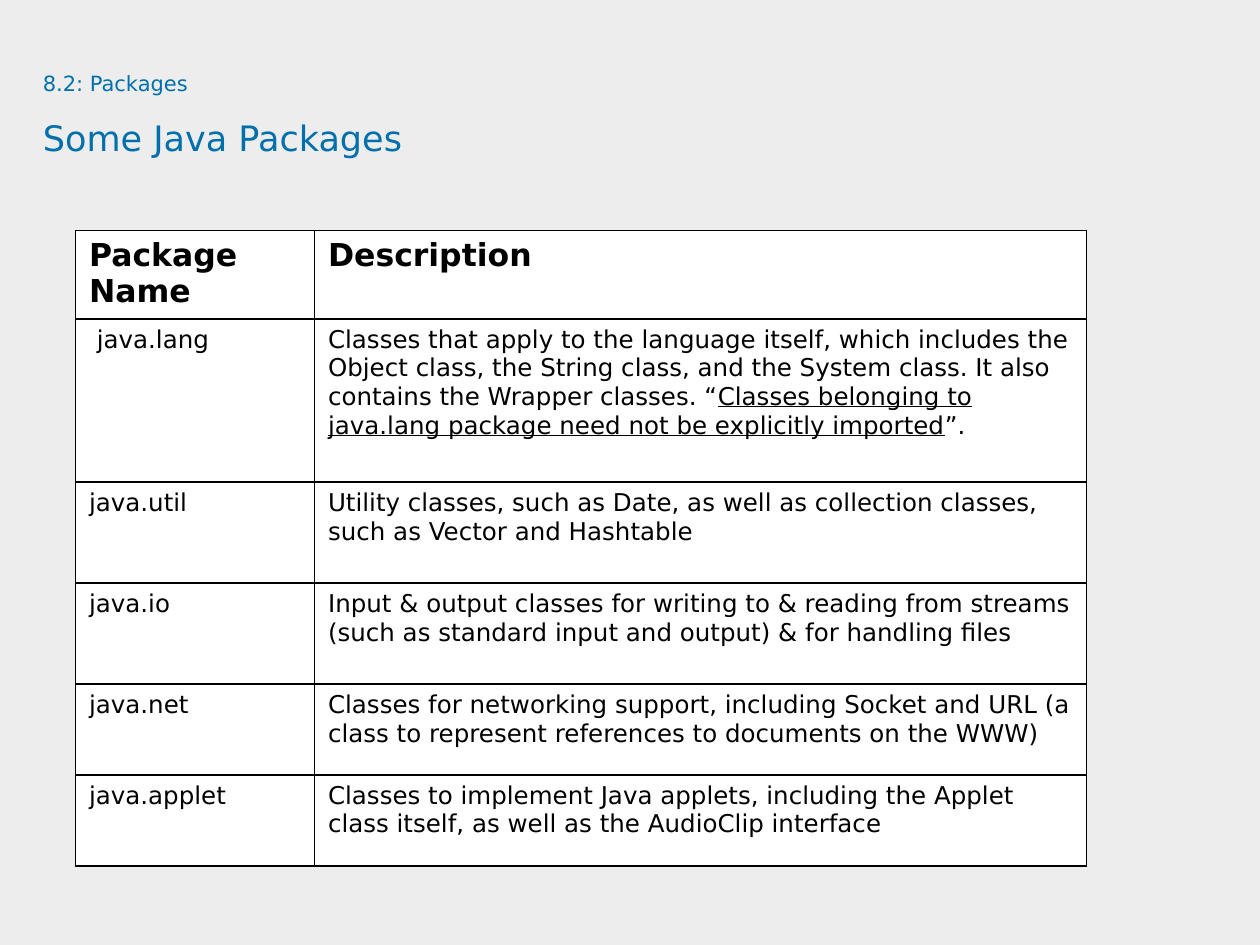
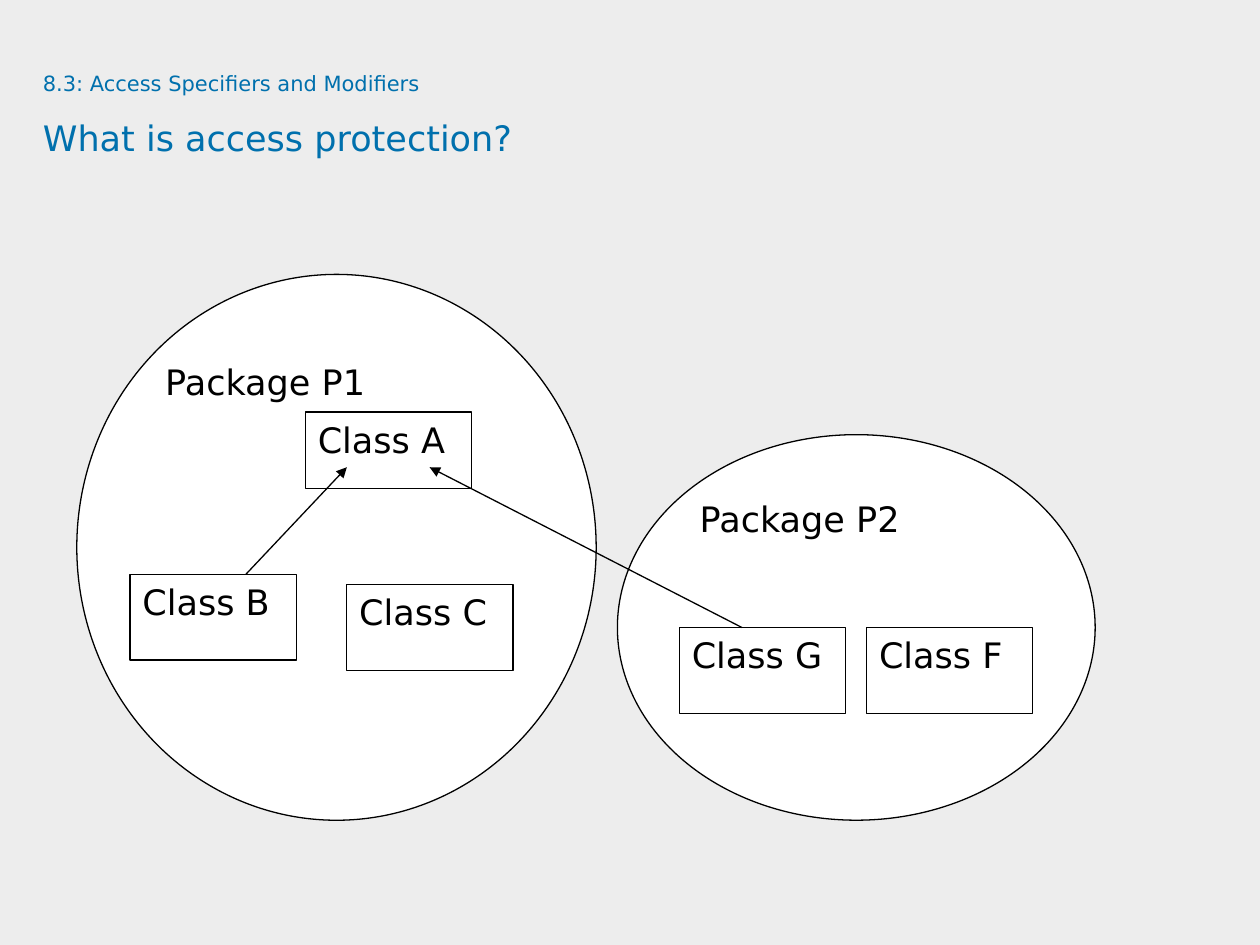
import pptx
import pptx.util
import pptx.dml.color
import pptx.enum.shapes
import pptx.enum.text
import pptx.oxml
import pptx.oxml.ns

Pt = pptx.util.Pt
RGBColor = pptx.dml.color.RGBColor
Shape = pptx.enum.shapes.MSO_SHAPE
Align = pptx.enum.text.PP_ALIGN
qn = pptx.oxml.ns.qn

BACKDROP = RGBColor(0xED, 0xED, 0xED)
BLUE = RGBColor(0x00, 0x70, 0xAD)
BLACK = RGBColor(0, 0, 0)
WHITE = RGBColor(255, 255, 255)
FONT = "DejaVu Sans"
DRAWING_NS = 'xmlns:a="http://schemas.openxmlformats.org/drawingml/2006/main"'


def write(paragraph, text, size=20, color=BLACK, bold=False, underline=False):
    run = paragraph.add_run()
    run.text = text
    run.font.name = FONT
    run.font.size = Pt(size)
    run.font.color.rgb = color
    run.font.bold = bold
    run.font.underline = underline


def add_labelled(slide, kind, label, left, top, width, height, align=Align.LEFT):
    outline = slide.shapes.add_shape(kind, Pt(left), Pt(top), Pt(width), Pt(height))
    outline.shadow.inherit = False
    outline.fill.solid()
    outline.fill.fore_color.rgb = WHITE
    outline.line.color.rgb = BLACK
    outline.line.width = Pt(0.75)
    frame = outline.text_frame
    frame.vertical_anchor = pptx.enum.text.MSO_ANCHOR.TOP
    frame.paragraphs[0].alignment = align
    write(frame.paragraphs[0], label)


deck = pptx.Presentation()
deck.slide_width = Pt(720)
deck.slide_height = Pt(540)
deck.slide_master.background.fill.solid()
deck.slide_master.background.fill.fore_color.rgb = BACKDROP

headings = [
    ("8.2: Packages", "Some Java Packages"),
    ("8.3: Access Specifiers and Modifiers", "What is access protection?"),
]
slides = []
for section, title in headings:
    slide = deck.slides.add_slide(deck.slide_layouts[6])
    heading = slide.shapes.add_textbox(Pt(24.5), Pt(33.1), Pt(654.5), Pt(67.7)).text_frame
    heading.word_wrap = True
    heading.margin_left = heading.margin_right = Pt(0)
    heading.margin_top = heading.margin_bottom = Pt(0)
    line = heading.paragraphs[0]
    line.line_spacing = 1.5
    write(line, section, size=12, color=BLUE)
    line.add_line_break()
    write(line, title, color=BLUE)
    slides.append(slide)
packages_slide, access_slide = slides

package_rows = [
    ("Package Name", ["Description"], 49),
    (" java.lang", [
        "Classes that apply to the language itself, which includes the Object class, "
        "the String class, and the System class. It also contains the Wrapper classes. “",
        "Classes belonging to java.lang package need not be explicitly imported",
        "”.",
    ], 93.3),
    ("java.util", ["Utility classes, such as Date, as well as collection classes, "
                   "such as Vector and Hashtable"], 57.7),
    ("java.io", ["Input & output classes for writing to & reading from streams "
                 "(such as standard input and output) & for handling files"], 57.7),
    ("java.net", ["Classes for networking support, including Socket and URL "
                  "(a class to represent references to documents on the WWW)"], 52),
    ("java.applet", ["Classes to implement Java applets, including the Applet class itself, "
                     "as well as the AudioClip interface"], 52),
]
total_height = sum(height for _, _, height in package_rows)
packages = packages_slide.shapes.add_table(
    len(package_rows), 2, Pt(43.2), Pt(131.8), Pt(577.7), Pt(total_height)).table
packages.columns[0].width = Pt(136.6)
packages.columns[1].width = Pt(441.1)
for row, (name, description, height) in enumerate(package_rows):
    packages.rows[row].height = Pt(height)
    is_header = row == 0
    for column, parts in enumerate([[name], description]):
        cell = packages.cell(row, column)
        cell.margin_left = cell.margin_right = Pt(7.7)
        cell.margin_top = cell.margin_bottom = Pt(3.6)
        cell.fill.solid()
        cell.fill.fore_color.rgb = WHITE
        for index, part in enumerate(parts):
            write(cell.text_frame.paragraphs[0], part, size=18 if is_header else 14,
                  bold=is_header, underline=index == 1)
        properties = cell._tc.get_or_add_tcPr()
        for position, side in enumerate(["lnL", "lnR", "lnT", "lnB"]):
            properties.insert(position, pptx.oxml.parse_xml(
                f'<a:{side} {DRAWING_NS} w="12700"><a:solidFill>'
                f'<a:srgbClr val="{BLACK}"/></a:solidFill></a:{side}>'))

add_labelled(access_slide, Shape.OVAL, "Package P2", 352.8, 248.4, 273, 220.3)
add_labelled(access_slide, Shape.OVAL, "Package P1", 43.9, 156.8, 296.8, 311.9)
add_labelled(access_slide, Shape.RECTANGLE, "Class A", 174.5, 235.4, 95, 43.7, Align.JUSTIFY)
for class_name, left, top in [
    ("Class C", 198.2, 334),
    ("Class B", 74.3, 328.2),
    ("Class F", 495.2, 358.6),
    ("Class G", 388.2, 358.6),
]:
    add_labelled(access_slide, Shape.RECTANGLE, class_name, left, top, 95, 49)

for start_x, start_y, end_x in [(140.5, 328.2, 198.2), (424, 358.6, 245.5)]:
    access = access_slide.shapes.add_connector(
        pptx.enum.shapes.MSO_CONNECTOR.STRAIGHT, Pt(start_x), Pt(start_y), Pt(end_x), Pt(267))
    access.line.color.rgb = BLACK
    access.line.width = Pt(0.75)
    arrowhead = pptx.oxml.parse_xml(f'<a:tailEnd {DRAWING_NS} type="triangle"/>')
    access.line._get_or_add_ln().append(arrowhead)
    access._element.spPr.append(pptx.oxml.parse_xml(f"<a:effectLst {DRAWING_NS}/>"))

deck.save("out.pptx")
